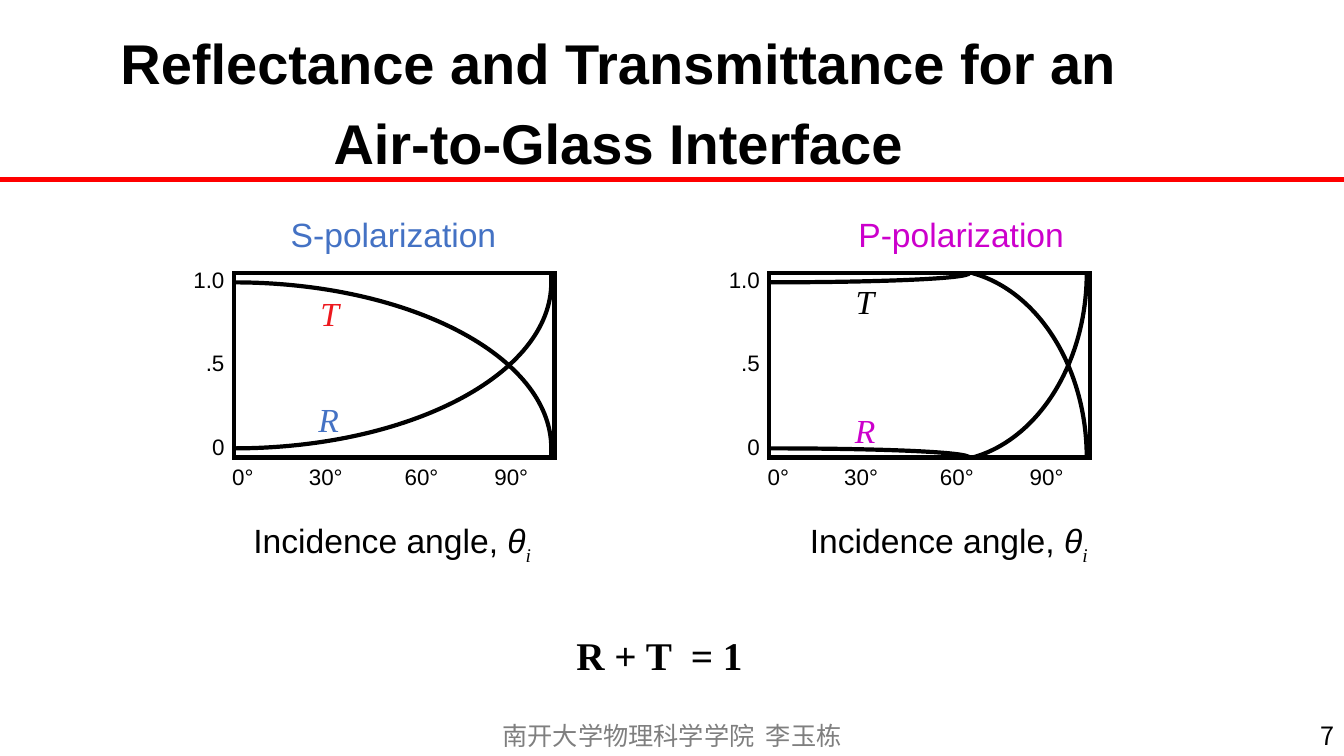
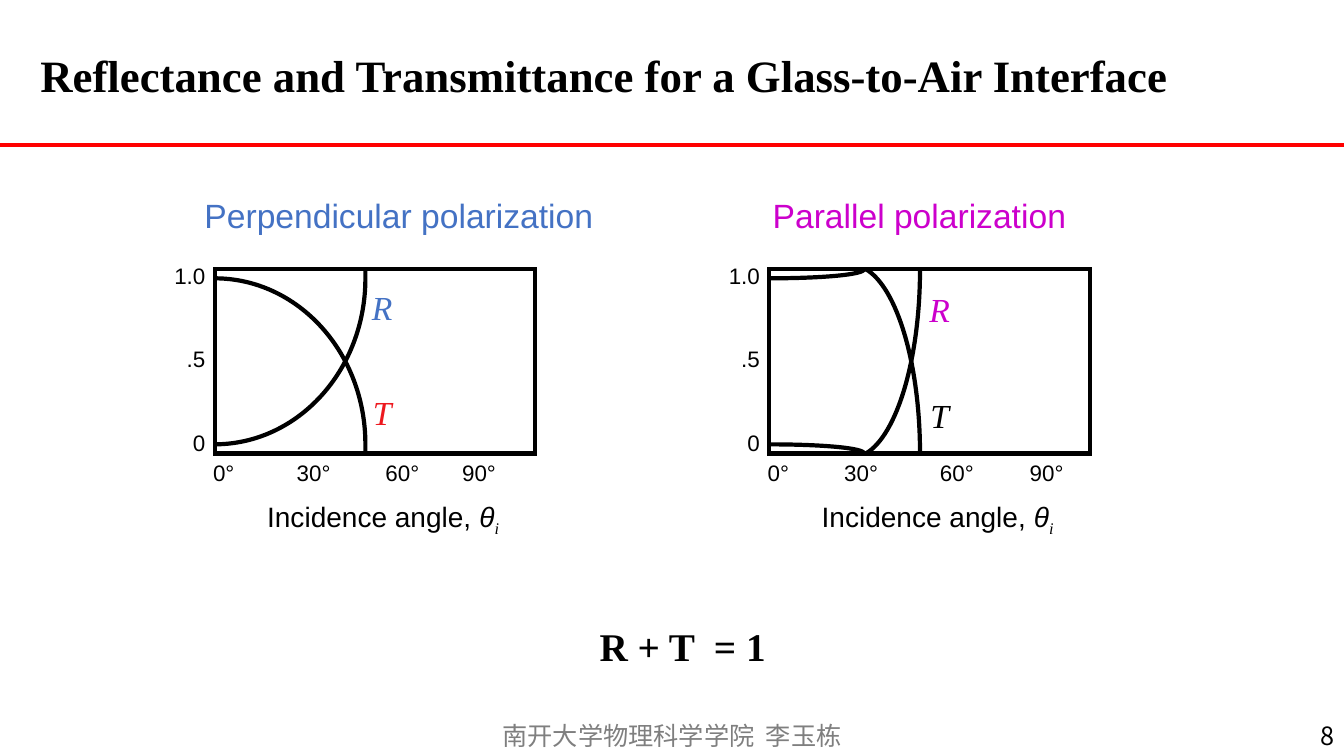
from dataclasses import dataclass
from itertools import product

from lxml.etree import SubElement
from pptx import Presentation
from pptx.dml.color import RGBColor as Color
from pptx.enum.shapes import MSO_CONNECTOR as Connector, MSO_SHAPE as Shape
from pptx.enum.text import MSO_ANCHOR as Anchor, MSO_AUTO_SIZE as AutoSize, PP_ALIGN as Align
from pptx.oxml.ns import qn
from pptx.util import Inches, Pt


@dataclass(frozen=True)
class Theme:
    black: str = "000000"
    grey: str = "7F7F7F"
    red: str = "FF0000"
    blue: str = "4472C4"
    scarlet: str = "ED181E"
    magenta: str = "CC00CC"
    sans: str = "Arial"
    serif: str = "Times New Roman"
    cjk: str = "Noto Sans CJK SC"
    tick: int = 16
    footer: int = 18
    label: int = 24
    formula: int = 28
    stroke: int = 3


@dataclass(frozen=True)
class Region:
    left: float
    top: float
    width: float
    height: float

    def offset(self, x, y):
        return Inches(self.left + x), Inches(self.top + y)

    def share(self, x, y):
        return self.offset(x * self.width, y * self.height)

    def size(self):
        return Inches(self.width), Inches(self.height)


@dataclass(frozen=True)
class Plot:
    left: float
    caption: str
    caption_x: float
    caption_width: float
    color: str
    curves: tuple
    axis_x: float
    r_at: tuple
    t_at: tuple
    t_color: str
    tabs: tuple = (0.76, 1.71, 2.6)


@dataclass(frozen=True)
class Topic:
    number: str
    title: str
    title_box: Region
    title_font: str
    title_size: int
    title_align: Align
    title_spacing: float
    rule_y: float
    plot_top: float
    caption_y: float
    caption_align: Align
    axis_y: float
    axis_size: int
    axis_width: float
    limit: float
    formula_at: tuple
    plots: tuple


THEME = Theme()
PAGE = Region(0, 0, 13.33, 7.5)
PLOT_WIDTH, PLOT_HEIGHT = 3.18, 1.83
FOOTER_Y = 7.3

S_CURVES = (
    ((0, 0.05), (0.55, 0.05), (1, 0.45), (1, 0.95), (1, 0.97), (1, 0.99), (1, 1.01)),
)
P_CURVES = (
    ((0, 0.05), (0.35, 0.05), (0.63, 0.03), (0.63, 0)),
    ((0.64, 0), (0.85, 0.1), (1, 0.52), (1, 1)),
)

TOPICS = (
    Topic(
        "7", "Reflectance and Transmittance for an\vAir-to-Glass Interface",
        Region(0.3, 0.32, 11.66, 1.25), THEME.sans, 40, Align.CENTER, 1.2,
        1.78, 2.71, -0.39, Align.RIGHT, 2.68, 24, 3.05, 0.99, (6.54, 6.5),
        (
            Plot(2.32, "S-polarization", 0.73, 3.94, THEME.blue, S_CURVES, 1.57,
                 (0.94, 1.45), (0.95, 0.4), THEME.scarlet),
            Plot(7.63, "P-polarization", 1.61, 2.82, THEME.magenta, P_CURVES, 1.78,
                 (0.95, 1.56), (0.95, 0.28), THEME.black),
        ),
    ),
    Topic(
        "8", "Reflectance and Transmittance for a Glass-to-Air Interface",
        Region(0.3, 0.15, 11.47, 1.25), THEME.serif, 32, Align.LEFT, 0.9,
        1.44, 2.67, -0.54, Align.LEFT, 2.47, 20, 2.6, 0.47, (6.77, 6.41),
        (
            Plot(2.13, "Perpendicular polarization", 1.85, 4.1, THEME.blue, S_CURVES, 1.67,
                 (1.66, 0.38), (1.66, 1.42), THEME.scarlet, (0.83, 1.71, 2.47)),
            Plot(7.63, "Parallel polarization", 1.51, 3.15, THEME.magenta, P_CURVES, 1.67,
                 (1.69, 0.4), (1.69, 1.45), THEME.black),
        ),
    ),
)


def style(para, font, size, color=THEME.black, align=Align.CENTER, bold=False, italic=False):
    para.alignment = align
    para.font.name = font
    para.font.size = Pt(size)
    para.font.color.rgb = Color.from_string(color)
    para.font.bold = bold
    para.font.italic = italic


def add_label(page, region, at, size, text, *args, **kwargs):
    x, y = region.offset(*at)
    width, height = map(Inches, size)
    box = page.shapes.add_textbox(x - width // 2, y - height // 2, width, height)
    frame = box.text_frame
    frame.word_wrap = True
    frame.vertical_anchor = Anchor.MIDDLE
    frame.text = text
    for para in frame.paragraphs:
        style(para, *args, **kwargs)
    return box


def set_east_asian_font(box):
    properties = box.text_frame.paragraphs[0].font._element
    SubElement(properties, qn("a:ea")).set("typeface", THEME.cjk)


def set_outline(shape, color=THEME.black):
    shape.line.color.rgb = Color.from_string(color)
    shape.line.width = Pt(THEME.stroke)
    SubElement(shape.line._get_or_add_ln(), qn("a:miter")).set("lim", "800000")


def clear_fill(shape):
    shape.shadow.inherit = False
    shape.fill.background()
    set_outline(shape)


def add_title(page, topic):
    title, region = page.shapes.title, topic.title_box
    title.left, title.top = region.offset(0, 0)
    title.width, title.height = region.size()
    title.text_frame.auto_size = AutoSize.NONE
    title.text_frame.vertical_anchor = Anchor.MIDDLE
    para = title.text_frame.paragraphs[0]
    para.text = topic.title
    para.line_spacing = topic.title_spacing
    style(para, topic.title_font, topic.title_size, align=topic.title_align, bold=True)


def add_rule(page, y):
    ends = PAGE.offset(0, y) + PAGE.offset(PAGE.width, y)
    rule = page.shapes.add_connector(Connector.STRAIGHT, *ends)
    set_outline(rule, THEME.red)
    SubElement(rule.element.spPr, qn("a:effectLst"))


def add_footer(page, layout):
    footer = add_label(page, PAGE, (PAGE.width / 2, FOOTER_Y), (3.61, 0.4),
                       "南开大学物理科学学院  李玉栋", THEME.cjk, THEME.footer, THEME.grey)
    set_east_asian_font(footer)
    layout.shapes.element.append(footer.element)


def bend_segments(shape):
    lines = list(shape.element.iter(qn("a:lnTo")))
    for start in range(0, len(lines), 3):
        bend = lines[start].getparent().makeelement(qn("a:cubicBezTo"))
        lines[start].addprevious(bend)
        for line in lines[start:start + 3]:
            bend.append(line[0])
            line.getparent().remove(line)


def add_curve(page, region, controls, limit, mirrored):
    points = [region.share(x * limit, y if mirrored else 1 - y) for x, y in controls]
    builder = page.shapes.build_freeform(*points[0])
    builder.add_line_segments(points[1:], close=False)
    curve = builder.convert_to_shape()
    bend_segments(curve)
    clear_fill(curve)


def add_ticks(page, region, tabs):
    values = add_label(page, region, (-0.26, 0.89), (0.53, 2.14), "1.0\n.5\n0",
                       THEME.sans, THEME.tick, align=Align.RIGHT)
    for para in values.text_frame.paragraphs[1:]:
        para.space_before = Pt(40.5)
    angles = add_label(page, region, (1.75, 2.02), (3.73, 0.37), "0°\t30°\t60°\t90°",
                       THEME.sans, THEME.tick, align=Align.LEFT)
    properties = angles.text_frame.paragraphs[0]._p.get_or_add_pPr()
    stops = properties.makeelement(qn("a:tabLst"))
    properties.find(qn("a:defRPr")).addprevious(stops)
    for tab in tabs:
        SubElement(stops, qn("a:tab"), pos=str(Inches(tab)), algn="l")


def add_axis_name(page, region, at, width, size):
    box = add_label(page, region, at, (width, 0.5), "Incidence angle, ", THEME.sans, size)
    para = box.text_frame.paragraphs[0]
    for text, font in (("θ", THEME.sans), ("i", THEME.serif)):
        span = para.add_run()
        span.text = text
        span.font.name = font
        span.font.italic = True
    span._r.get_or_add_rPr().set("baseline", "-25000")


def add_plot(page, topic, plot):
    region = Region(plot.left, topic.plot_top, PLOT_WIDTH, PLOT_HEIGHT)
    for controls, mirrored in product(plot.curves, (False, True)):
        add_curve(page, region, controls, topic.limit, mirrored)
    clear_fill(page.shapes.add_shape(Shape.RECTANGLE, *region.offset(0, 0), *region.size()))
    add_ticks(page, region, plot.tabs)
    add_label(page, region, (plot.caption_x, topic.caption_y), (plot.caption_width, 0.5),
              plot.caption, THEME.sans, THEME.label, plot.color, topic.caption_align)
    add_axis_name(page, region, (plot.axis_x, topic.axis_y), topic.axis_width, topic.axis_size)
    for text, at, color in (("R", plot.r_at, plot.color), ("T", plot.t_at, plot.t_color)):
        add_label(page, region, at, (0.4, 0.5), text, THEME.serif, THEME.label, color, italic=True)


def add_topic(page, topic):
    add_title(page, topic)
    add_rule(page, topic.rule_y)
    for plot in topic.plots:
        add_plot(page, topic, plot)
    add_label(page, PAGE, topic.formula_at, (1.9, 0.57), "R + T  = 1",
              THEME.serif, THEME.formula, bold=True)
    number = add_label(page, PAGE, (PAGE.width - 1.5, FOOTER_Y), (3, 0.4), topic.number,
                       THEME.cjk, THEME.footer, align=Align.RIGHT)
    set_east_asian_font(number)


def main():
    deck = Presentation()
    deck.slide_width, deck.slide_height = PAGE.size()
    layout = deck.slide_layouts.get_by_name("Title Only")
    pages = [deck.slides.add_slide(layout) for _ in TOPICS]
    add_footer(pages[0], layout)
    for page, topic in zip(pages, TOPICS):
        add_topic(page, topic)
    deck.save("out.pptx")


if __name__ == "__main__":
    main()
